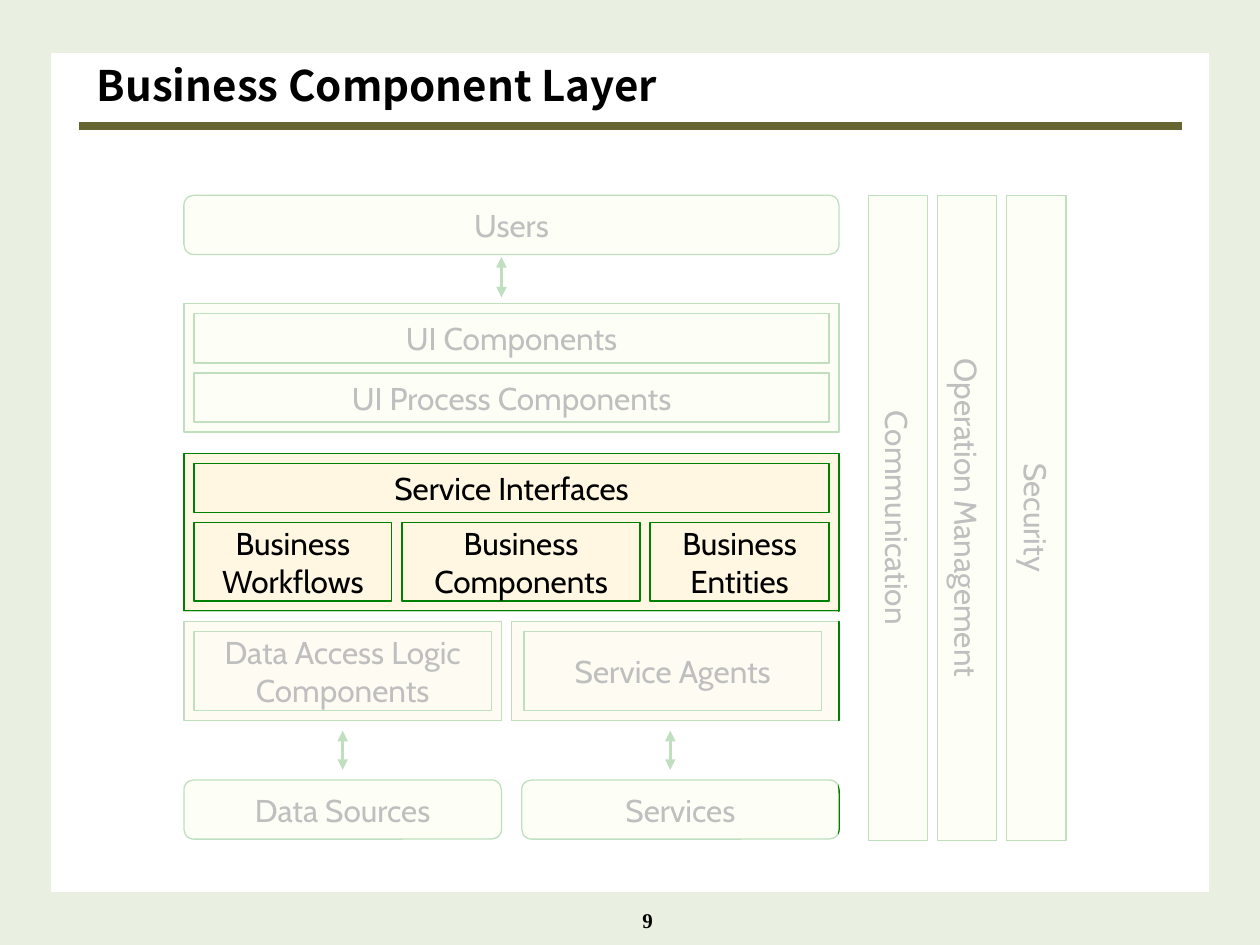
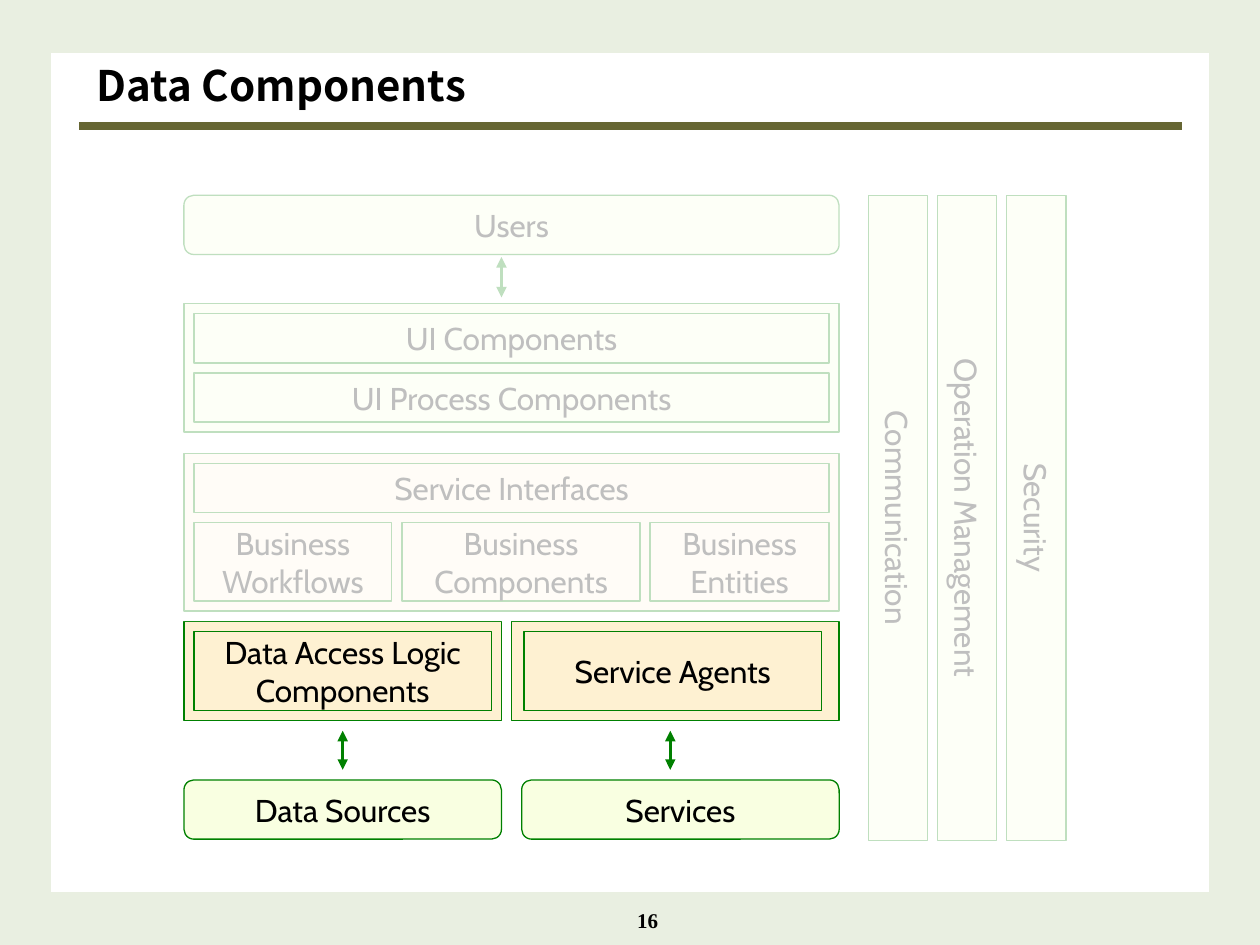
from dataclasses import dataclass, replace

from lxml import etree
from pptx import Presentation
from pptx import util as u
from pptx.dml.color import RGBColor
from pptx.enum import shapes, text
from pptx.oxml.ns import qn


@dataclass(frozen=True)
class Theme:
    white: str = "FFFFFF"
    ink: str = "000000"
    frame: str = "E9EFE1"
    rule: str = "666633"
    edge: str = "008000"
    outer: str = "F9FFE1"
    business: str = "FFF7E1"
    data: str = "FEF1D2"
    title_font: str = "Noto Sans CJK KR"
    box_font: str = "Cabin"
    number_font: str = "Times New Roman"
    title_size: int = 24
    box_size: int = 18
    number_size: int = 12
    edge_width: float = 0.75
    arrow_width: float = 2
    rule_width: float = 4.5
    frame_width: float = 30


THEME = Theme()
WIDTH, HEIGHT = 10, 7.5
GAP = 0.08


@dataclass(frozen=True)
class Area:
    """A rectangle in inches that can be padded and divided."""
    x: float
    y: float
    w: float
    h: float

    def inset(self):
        return Area(self.x + GAP, self.y + GAP, self.w - 2 * GAP, self.h - 2 * GAP)

    def columns(self, weights, gap=GAP):
        unit = (self.w - gap * (len(weights) - 1)) / sum(weights)
        return [Area(self.x + unit * sum(weights[:i]) + gap * i, self.y, unit * weight, self.h)
                for i, weight in enumerate(weights)]

    def rows(self, weights, gap=GAP):
        unit = (self.h - gap * (len(weights) - 1)) / sum(weights)
        return [Area(self.x, self.y + unit * sum(weights[:i]) + gap * i, self.w, unit * weight)
                for i, weight in enumerate(weights)]

    def turned(self):
        """The area that covers this one after a quarter turn."""
        return Area(self.x + (self.w - self.h) / 2, self.y + (self.h - self.w) / 2,
                    self.h, self.w)

    def emu(self):
        return [u.Inches(v) for v in (self.x, self.y, self.w, self.h)]


USERS = Area(1.46, 1.55, 5.2, 0.47)
UI_TIER = replace(USERS, y=2.41, h=1.02)
BUSINESS_TIER = replace(USERS, y=3.6, h=1.25)
DATA_TIER = replace(USERS, y=4.93, h=0.79)
STORES = replace(USERS, y=6.19)
PILLARS = Area(6.89, 1.55, 1.57, 5.12)
ARROWS = [(2.72, 5.8, 6.11), (5.32, 5.8, 6.11), (3.98, 2.04, 2.36)]

UI_VEIL = Area(1.3, 1.31, 5.43, 2.2)
BUSINESS_VEIL = Area(1.3, 3.51, 5.43, 1.42)
DATA_VEIL = Area(1.22, 4.85, 5.43, 1.97)
PILLAR_VEIL = Area(6.81, 1.47, 1.73, 5.28)


def rgb(value):
    return RGBColor.from_string(value)


def write(tf, lines, font, size, bold=False, align=text.PP_ALIGN.CENTER):
    tf.text = "\n".join(lines)
    for p in tf.paragraphs:
        p.alignment = align
        p.font.name, p.font.size, p.font.bold = font, u.Pt(size), bold
        p.font.color.rgb = rgb(THEME.ink)


def add_line(s, start, end, color, width):
    line = s.shapes.add_connector(shapes.MSO_CONNECTOR.STRAIGHT,
                                  *[u.Inches(v) for v in (*start, *end)])
    line.line.color.rgb, line.line.width = rgb(color), u.Pt(width)
    etree.SubElement(line._element.spPr, qn("a:effectLst"))
    return line


def add_double_arrow(s, x, top, bottom):
    arrow = add_line(s, (x, top), (x, bottom), THEME.edge, THEME.arrow_width)
    for tag in ("a:headEnd", "a:tailEnd"):
        etree.SubElement(arrow.line._get_or_add_ln(), qn(tag), type="triangle")


def add_box(s, area, fill, *lines, kind=shapes.MSO_SHAPE.RECTANGLE):
    sp = s.shapes.add_shape(kind, *area.emu())
    sp.shadow.inherit = False
    sp.fill.solid()
    sp.fill.fore_color.rgb = rgb(fill)
    sp.line.color.rgb, sp.line.width = rgb(THEME.edge), u.Pt(THEME.edge_width)
    if lines:
        sp.text_frame.word_wrap = False
        sp.text_frame.vertical_anchor = text.MSO_ANCHOR.MIDDLE
        write(sp.text_frame, lines, THEME.box_font, THEME.box_size)
    return sp


def add_round_box(s, area, label):
    add_box(s, area, THEME.outer, label, kind=shapes.MSO_SHAPE.ROUNDED_RECTANGLE)


def add_pillar(s, area, label):
    add_box(s, area.turned(), THEME.outer, label).rotation = 90


def add_veil(s, area):
    """Fade what lies below with a mostly opaque white rectangle."""
    veil = add_box(s, area, THEME.white)
    veil.line.fill.background()
    color = veil._element.spPr.find(qn("a:solidFill"))[0]
    etree.SubElement(color, qn("a:alpha"), val="75000")


def add_text(s, area, line, font, size, anchor, align):
    tf = s.shapes.add_textbox(*area.emu()).text_frame
    tf.word_wrap, tf.vertical_anchor = True, anchor
    write(tf, [line], font, size, True, align)
    return tf


def add_frame(s, title):
    for x in (0.02 * WIDTH, 0.98 * WIDTH):
        add_line(s, (x, 0), (x, HEIGHT), THEME.frame, THEME.frame_width)
    for y in (0.028 * HEIGHT, 0.972 * HEIGHT):
        add_line(s, (0, y), (WIDTH, y), THEME.frame, THEME.frame_width)
    add_line(s, (0.63, 1), (WIDTH - 0.62, 1), THEME.rule, THEME.rule_width)
    add_text(s, Area(0.67, 0.38, 7.85, 0.58), title, THEME.title_font, THEME.title_size,
             text.MSO_ANCHOR.MIDDLE, text.PP_ALIGN.LEFT)


def add_number(s, number):
    tf = add_text(s, Area(4.67, 6.95, 0.7, 0.5), str(number), THEME.number_font,
                  THEME.number_size, text.MSO_ANCHOR.BOTTOM, text.PP_ALIGN.CENTER)
    tf.paragraphs[0]._p.get_or_add_pPr().set("marL", str(u.Inches(0.24)))


def add_architecture(s):
    add_round_box(s, USERS, "Users")

    add_box(s, UI_TIER, THEME.outer)
    for area, label in zip(UI_TIER.inset().rows([1, 1]),
                           ["UI Components", "UI Process Components"]):
        add_box(s, area, THEME.outer, label)

    add_box(s, BUSINESS_TIER, THEME.business)
    interfaces, parts = BUSINESS_TIER.inset().rows([0.39, 0.63])
    add_box(s, interfaces, THEME.business, "Service Interfaces")
    for area, label in zip(parts.columns([1.57, 1.89, 1.42]),
                           ["Workflows", "Components", "Entities"]):
        add_box(s, area, THEME.business, "Business", label)

    access, agents = DATA_TIER.columns([2.52, 2.6])
    add_box(s, access, THEME.data)
    add_box(s, access.inset(), THEME.data, "Data Access Logic", "Components")
    add_box(s, agents, THEME.data)
    add_box(s, replace(agents.inset(), x=4.16, w=access.inset().w), THEME.data, "Service Agents")

    for area, label in zip(STORES.columns([1, 1], 2 * GAP), ["Data Sources", "Services"]):
        add_round_box(s, area, label)
    for arrow in ARROWS:
        add_double_arrow(s, *arrow)
    for area, label in zip(PILLARS.columns([1, 1, 1]),
                           ["Communication", "Operation Management", "Security"]):
        add_pillar(s, area, label)


def add_layer_slide(prs, title, number, faded):
    s = prs.slides.add_slide(prs.slide_layouts[6])
    add_frame(s, title)
    add_architecture(s)
    for area in faded:
        add_veil(s, area)
    add_number(s, number)


def main():
    prs = Presentation()
    prs.slide_width, prs.slide_height = u.Inches(WIDTH), u.Inches(HEIGHT)
    add_layer_slide(prs, "Business Component Layer", 9, [UI_VEIL, DATA_VEIL, PILLAR_VEIL])
    add_layer_slide(prs, "Data Components", 16, [UI_VEIL, BUSINESS_VEIL, PILLAR_VEIL])
    prs.save("out.pptx")


if __name__ == "__main__":
    main()
